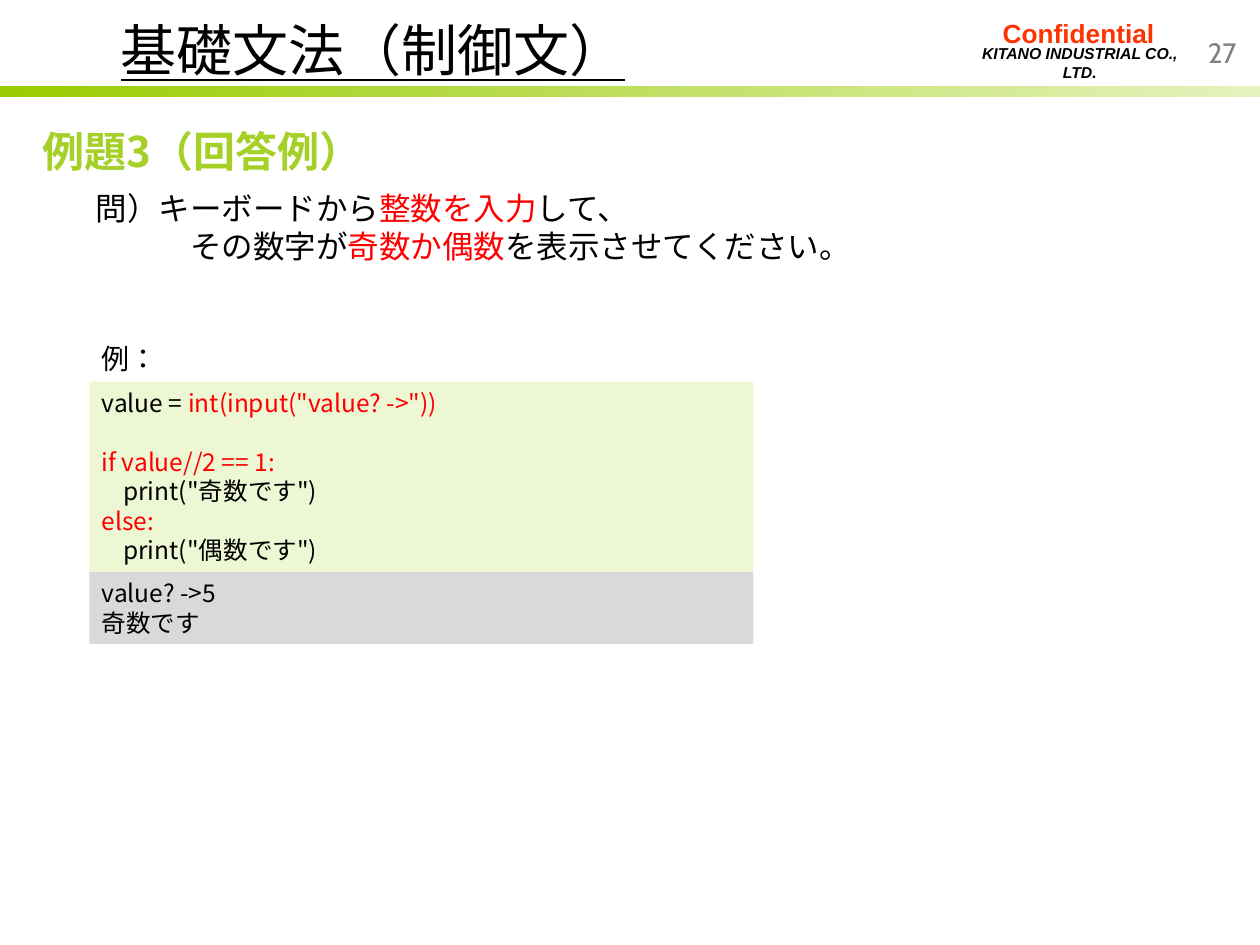
from lxml.etree import SubElement
from pptx import Presentation
from pptx.dml.color import RGBColor
from pptx.enum.lang import MSO_LANGUAGE_ID
from pptx.enum.shapes import MSO_SHAPE
from pptx.enum.text import MSO_ANCHOR, MSO_AUTO_SIZE, PP_ALIGN
from pptx.oxml.ns import qn
from pptx.util import Inches, Pt

COLORS = {
    "black": "000000",
    "red": "FF0000",
    "gray": "808080",
    "heading": "A5D028",
    "confidential": "FF3300",
    "bar_start": "99CC00",
    "bar_end": "E5F2BE",
    "code": "EDF7D3",
    "output": "D9D9D9",
}
JP = "Noto Sans CJK JP"
LINE = 1.2


def rgb(name):
    return RGBColor.from_string(COLORS[name])


def write(sp, lines, size, font=JP, color="black", bold=False, italic=False,
          underline=False, align=PP_ALIGN.LEFT, anchor=MSO_ANCHOR.TOP,
          wrap=True, indents=None, gaps=None):
    tf = sp.text_frame
    tf.auto_size = MSO_AUTO_SIZE.NONE
    tf.word_wrap = wrap
    tf.vertical_anchor = anchor
    for i, line in enumerate(lines):
        p = tf.paragraphs[0] if i == 0 else tf.add_paragraph()
        p.alignment = align
        if font == JP:
            p.line_spacing = Pt(size * LINE)
        p.space_before = Pt((gaps or {}).get(i, 0))
        pPr = p._p.get_or_add_pPr()
        pPr.set("marL", str(Inches((indents or {}).get(i, 0))))
        pPr.set("indent", "0")
        SubElement(pPr, qn("a:buNone"))
        runs = [(line, color)] if isinstance(line, str) else line
        for text, run_color in runs:
            r = p.add_run()
            r.text = text
            r.font.size = Pt(size)
            r.font.name = font
            r.font.bold = bold
            r.font.italic = italic
            r.font.underline = underline
            r.font.color.rgb = rgb(run_color)
            if font == JP:
                r.font.language_id = MSO_LANGUAGE_ID.JAPANESE
            SubElement(r._r.get_or_add_rPr(), qn("a:ea"), typeface=font)


def add_text(s, box, lines, size, **fmt):
    sp = s.shapes.add_textbox(*map(Inches, box))
    write(sp, lines, size, **fmt)


def fill_placeholder(sp, box, lines, size, **fmt):
    sp.left, sp.top, sp.width, sp.height = map(Inches, box)
    write(sp, lines, size, **fmt)


def add_rect(s, box):
    sp = s.shapes.add_shape(MSO_SHAPE.RECTANGLE, *map(Inches, box))
    sp.shadow.inherit = False
    sp.line.fill.background()
    return sp


def add_panel(s, box, fill, lines, size, **fmt):
    sp = add_rect(s, box)
    sp.fill.solid()
    sp.fill.fore_color.rgb = rgb(fill)
    write(sp, lines, size, **fmt)


def add_gradient_bar(s, box):
    fill = add_rect(s, box).fill
    fill.gradient()
    fill.gradient_angle = 0
    for stop, name, position in zip(fill.gradient_stops, ("bar_start", "bar_end"), (0, 1)):
        stop.color.rgb = rgb(name)
        stop.position = position


def add_header(s):
    center = {"align": PP_ALIGN.CENTER, "bold": True, "font": "Arial",
              "anchor": MSO_ANCHOR.MIDDLE}
    add_text(s, (9.43, 0.23, 0.54, 0.37), ["27"], 16, font="Cabin",
             color="gray", align=PP_ALIGN.CENTER, wrap=False)
    add_gradient_bar(s, (0, 0.68, 10, 0.09))
    add_text(s, (7.62, 0.37, 1.9, 0.25), ["KITANO INDUSTRIAL CO., LTD."], 9,
             italic=True, **center)
    add_text(s, (7.85, 0.09, 1.42, 0.35), ["Confidential"], 15,
             color="confidential", wrap=False, **center)


def main():
    prs = Presentation()
    prs.slide_width, prs.slide_height = Inches(10), Inches(7.5)
    s = prs.slides.add_slide(prs.slide_layouts[1])
    add_header(s)

    fill_placeholder(s.shapes.title, (0.86, 0.13, 4.5, 0.52),
                     ["基礎文法（制御文）"], 32, underline=True,
                     anchor=MSO_ANCHOR.MIDDLE)
    add_text(s, (0.24, 0.95, 3.17, 0.5), ["例題3（回答例）"], 24,
             color="heading", bold=True)

    question = [
        [("問）キーボードから", "black"), ("整数を入力", "red"), ("して、", "black")],
        [("その数字が", "black"), ("奇数か偶数", "red"),
         ("を表示させてください。", "black")],
    ]
    fill_placeholder(s.placeholders[1], (0.66, 1.45, 8.68, 0.71), question, 18,
                     indents={1: 0.75})

    add_text(s, (0.71, 2.66, 4.15, 0.37), ["例："], 16)
    code = [
        [("value = ", "black"), ('int(input("value? ->"))', "red")],
        [("if value//2 == 1:", "red")],
        'print("奇数です")',
        [("else:", "red")],
        'print("偶数です")',
    ]
    add_panel(s, (0.71, 3.03, 5.27, 1.51), "code", code, 14,
              indents={2: 0.17, 4: 0.17}, gaps={1: 14 * LINE})
    add_panel(s, (0.71, 4.54, 5.27, 0.57), "output", ["value? ->5", "奇数です"], 14)

    prs.save("out.pptx")


if __name__ == "__main__":
    main()
